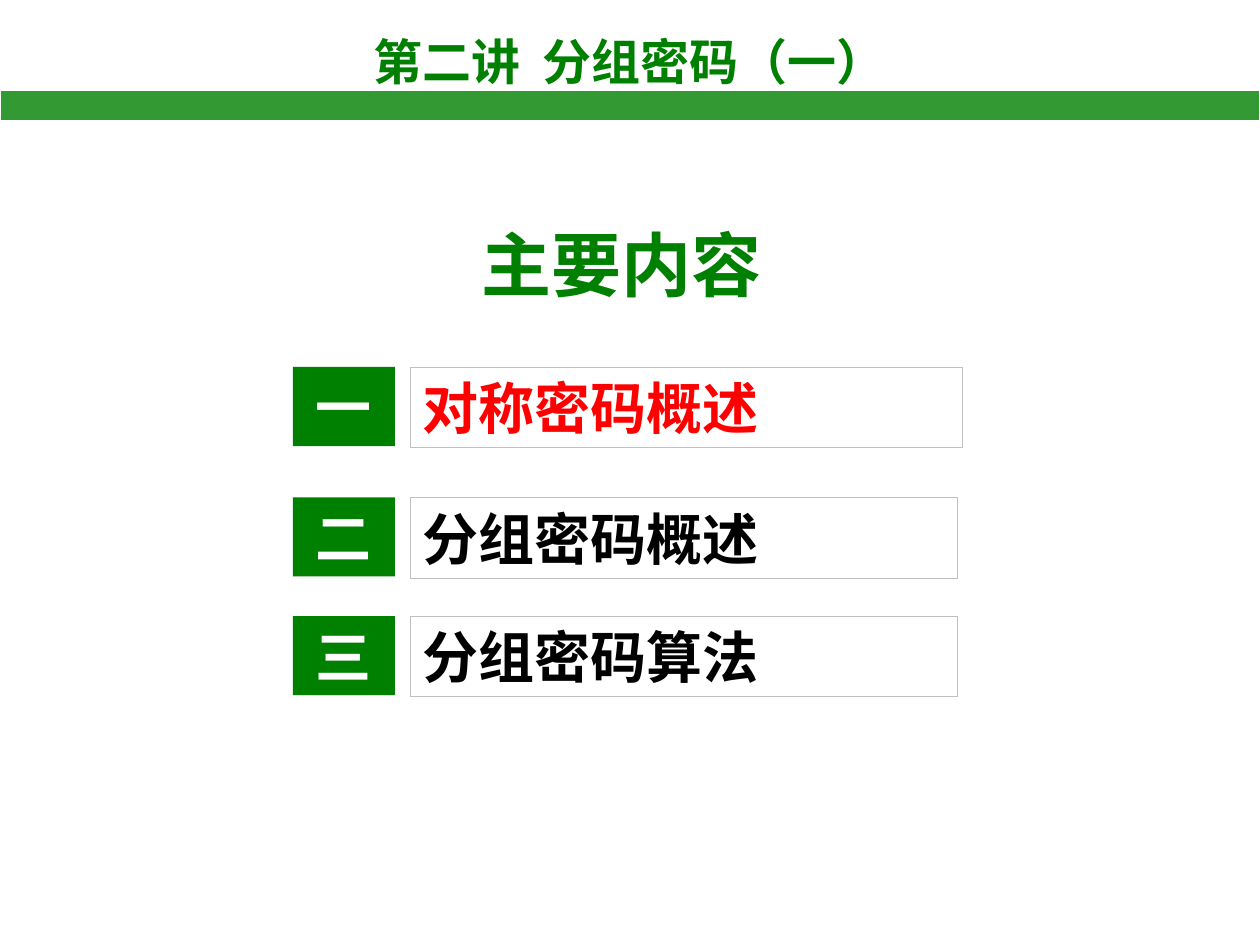
from lxml.etree import SubElement
from pptx import Presentation
from pptx.dml.color import RGBColor
from pptx.enum.shapes import MSO_SHAPE as Preset
from pptx.enum.text import MSO_ANCHOR as Anchor, MSO_AUTO_SIZE as AutoSize, PP_ALIGN as Align
from pptx.oxml.ns import qn
from pptx.util import Pt

COLORS = {
    "green": "008000",
    "band": "339933",
    "white": "FFFFFF",
    "gray": "C0C0C0",
    "red": "FF0000",
    "black": "000000",
}
CJK_FONT = "Noto Sans CJK SC"
LATIN_FONT = "Times New Roman"


class SlideBuilder:
    def __init__(self, slide):
        self.slide = slide

    def color(self, name):
        return RGBColor.from_string(COLORS[name])

    def add_text(self, shape, text, size, color, align=Align.LEFT, font=CJK_FONT):
        paragraph = shape.text_frame.paragraphs[0]
        paragraph.alignment = align
        run = paragraph.add_run()
        run.text = text
        run.font.size = Pt(size)
        run.font.bold = True
        run.font.name = font
        run.font.color.rgb = self.color(color)
        SubElement(run._r.get_or_add_rPr(), qn("a:ea")).set("typeface", CJK_FONT)

    def text_box(self, box, text, size, align=Align.LEFT):
        shape = self.slide.shapes.add_textbox(*map(Pt, box))
        shape.text_frame.word_wrap = True
        shape.text_frame.auto_size = AutoSize.SHAPE_TO_FIT_TEXT
        self.add_text(shape, text, size, "green", align)

    def box(self, box, fill=None, line=None, width=0.25, preset=Preset.RECTANGLE):
        shape = self.slide.shapes.add_shape(preset, *map(Pt, box))
        shape.shadow.inherit = False
        if fill:
            shape.fill.solid()
            shape.fill.fore_color.rgb = self.color(fill)
        else:
            shape.fill.background()
        if line:
            shape.line.color.rgb = self.color(line)
            shape.line.width = Pt(width)
        else:
            shape.line.fill.background()
        shape.text_frame.vertical_anchor = Anchor.MIDDLE
        return shape

    def agenda_item(self, top, number, text, width, color, font):
        chip = self.box((167.3, top, 58.3, 45.2), fill="green")
        chip.text_frame.word_wrap = False
        self.add_text(chip, number, 32, "white", Align.CENTER)
        frame = self.box((234.5, top, width, 46), line="gray", preset=Preset.ROUNDED_RECTANGLE)
        frame.adjustments[0] = 0
        frame.text_frame.word_wrap = True
        self.add_text(frame, text, 32, color, font=font)


def main():
    presentation = Presentation()
    presentation.slide_width = Pt(720)
    presentation.slide_height = Pt(540)
    slide = presentation.slides.add_slide(presentation.slide_layouts[6])
    builder = SlideBuilder(slide)

    builder.text_box((178.6, 14.4, 362.2, 41), "第二讲  分组密码（一）", 28, Align.CENTER)
    builder.box((0, 51.9, 720, 17), fill="band", line="white", width=0.75)
    builder.text_box((268, 123.1, 186.5, 55.4), "主要内容", 40)

    agenda = [
        (209.7, "一", "对称密码概述", 315.6, "red", CJK_FONT),
        (284.2, "二", "分组密码概述", 312.6, "black", LATIN_FONT),
        (352.1, "三", "分组密码算法", 312.6, "black", CJK_FONT),
    ]
    for item in agenda:
        builder.agenda_item(*item)

    presentation.save("out.pptx")


if __name__ == "__main__":
    main()
